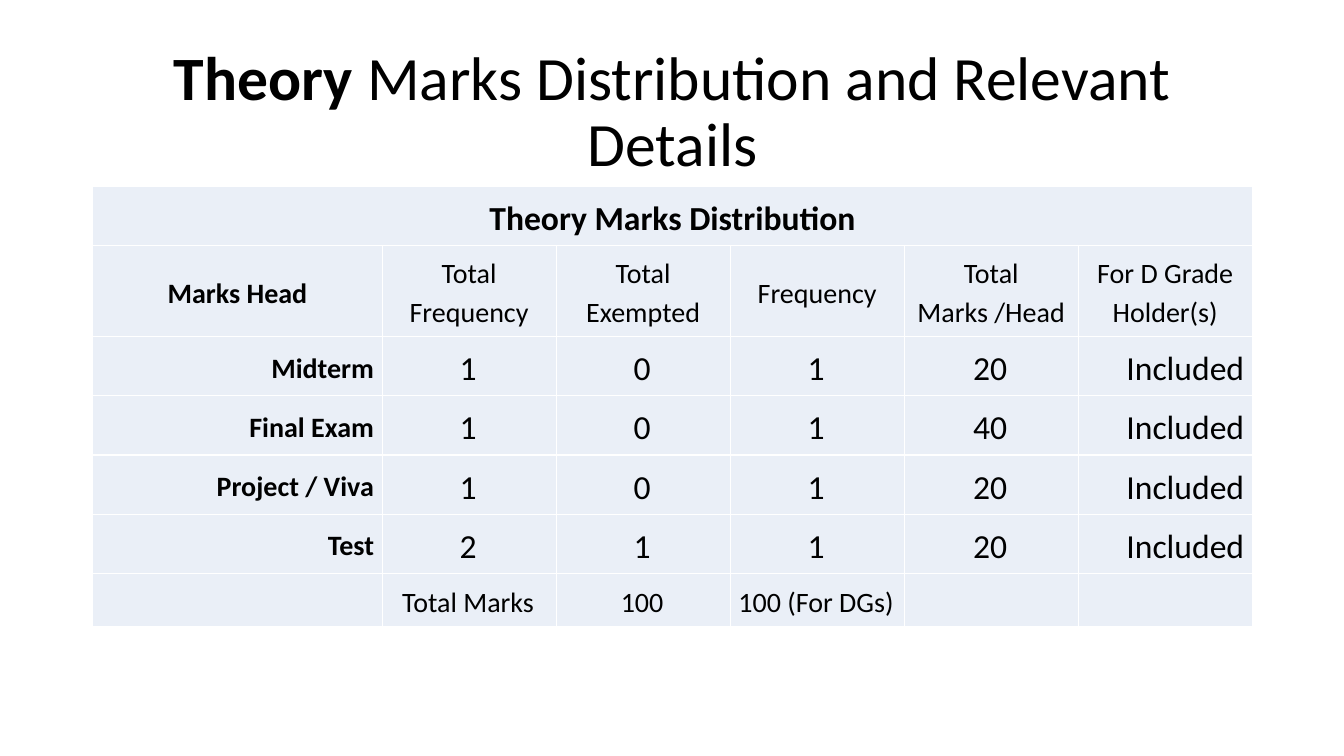
import dataclasses

import lxml.etree
import pptx
import pptx.dml.color
import pptx.enum.text
import pptx.oxml.ns
import pptx.util

Inches = pptx.util.Inches
Align = pptx.enum.text.PP_ALIGN
Middle = pptx.enum.text.MSO_ANCHOR.MIDDLE


@dataclasses.dataclass(frozen=True)
class Theme:
    """Colours and type of the slide."""
    font: str = "Calibri"
    ink: str = "000000"
    fill: str = "EAEFF7"
    rule: str = "FFFFFF"
    title: int = 44
    large: int = 24
    small: int = 20


THEME = Theme()
ROWS = [
    ["Theory Marks Distribution", "", "", "", "", ""],
    ["Marks Head", "Total Frequency", "Total Exempted", "Frequency",
     "Total Marks /Head", "For D Grade Holder(s)"],
    ["Midterm", "1", "0", "1", "20", "Included"],
    ["Final Exam", "1", "0", "1", "40", "Included"],
    ["Project / Viva", "1", "0", "1", "20", "Included"],
    ["Test", "2", "1", "1", "20", "Included"],
    ["", "Total Marks", "100", "100 (For DGs)", "", ""],
]


def style(para, size, bold, align, space):
    """Format one paragraph."""
    para.alignment = align
    para.line_spacing = space
    font = para.font
    font.name = THEME.font
    font.size = pptx.util.Pt(size)
    font.color.rgb = pptx.dml.color.RGBColor.from_string(THEME.ink)
    if bold is not None:
        font.bold = bold


def border(cell):
    """Draw a thin line on all four sides of a cell."""
    props = cell._tc.get_or_add_tcPr()
    for place, side in enumerate(("lnL", "lnR", "lnT", "lnB")):
        line = lxml.etree.Element(pptx.oxml.ns.qn("a:" + side), w=str(pptx.util.Pt(1)))
        paint = lxml.etree.SubElement(line, pptx.oxml.ns.qn("a:solidFill"))
        lxml.etree.SubElement(paint, pptx.oxml.ns.qn("a:srgbClr"), val=THEME.rule)
        props.insert(place, line)


def add_title(slide, left, top, width, height):
    """Place the title with its bold first word."""
    title = slide.shapes.title
    title.left, title.top, title.width, title.height = left, top, width, height
    frame = title.text_frame
    frame.word_wrap = True
    frame.vertical_anchor = Middle
    para = frame.paragraphs[0]
    style(para, THEME.title, None, Align.CENTER, 0.9)
    for text, bold in (("Theory", True), (" Marks Distribution and Relevant Details", False)):
        run = para.add_run()
        run.text = text
        run.font.bold = bold


def fill_cell(cell, text, row, col):
    """Write and format the cell at a row and column."""
    body = 2 <= row < len(ROWS) - 1
    cell.fill.solid()
    cell.fill.fore_color.rgb = pptx.dml.color.RGBColor.from_string(THEME.fill)
    cell.vertical_anchor = Middle
    cell.margin_left = cell.margin_top = cell.margin_bottom = Inches(0.06)
    cell.margin_right = Inches(0.06 if row < 2 else 0.08)
    cell.text = text
    large = row == 0 or not text or (body and col > 0)
    right = body and col in (0, len(ROWS[0]) - 1)
    style(cell.text_frame.paragraphs[0], THEME.large if large else THEME.small,
          col == 0, Align.RIGHT if right else Align.CENTER, 1.15)
    border(cell)


def add_marks(slide, left, top, width, height):
    """Place the table of marks."""
    count = len(ROWS[0])
    table = slide.shapes.add_table(len(ROWS), count, left, top, width, height).table
    table.first_row = table.horz_banding = False
    first = Inches(2.87)
    for col, column in enumerate(table.columns):
        column.width = first if col == 0 else (width - first) // (count - 1)
    for row, texts in enumerate(ROWS):
        table.rows[row].height = Inches(0.52)
        for col, text in enumerate(texts):
            fill_cell(table.cell(row, col), text, row, col)
    table.cell(0, 0).merge(table.cell(0, count - 1))


def main():
    """Build and save the slide."""
    deck = pptx.Presentation()
    deck.slide_width, deck.slide_height = Inches(13.33), Inches(7.5)
    slide = deck.slides.add_slide(deck.slide_layouts.get_by_name("Title Only"))
    left, width = Inches(0.92), Inches(11.5)
    add_title(slide, left, Inches(0.4), width, Inches(1.45))
    add_marks(slide, left, Inches(1.85), width, Inches(4.2))
    deck.save("out.pptx")


if __name__ == "__main__":
    main()
